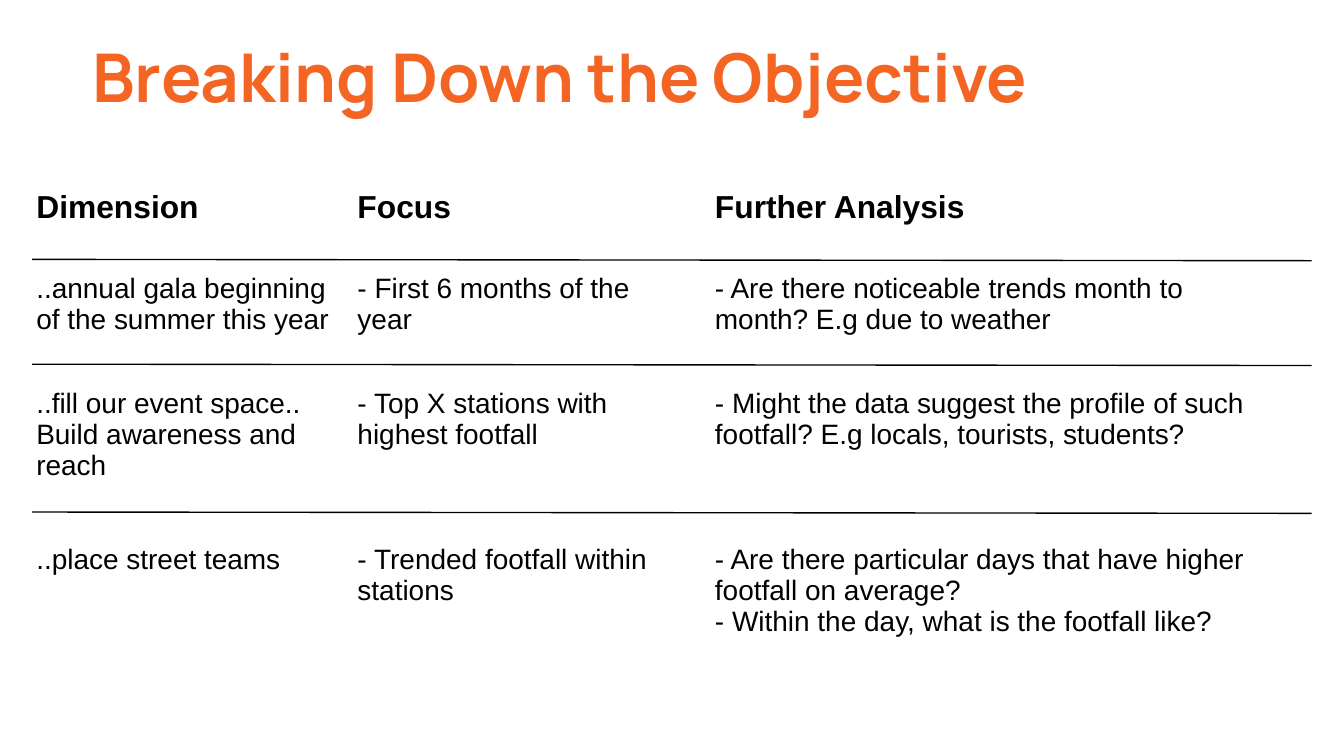
from dataclasses import dataclass

from lxml.etree import SubElement
from pptx import Presentation
from pptx.dml.color import RGBColor
from pptx.enum.text import MSO_ANCHOR
from pptx.oxml.ns import qn
from pptx.util import Inches, Pt

COLOURS = {"title": "F46524", "text": "000000", "border": "FFFFFF"}
BORDER_TAGS = ("a:lnL", "a:lnR", "a:lnT", "a:lnB")
SIDES = ("left", "right", "top", "bottom")
COLUMN_WIDTHS = (2.39, 2.66, 4.36)
RULE_HEIGHTS = (1.93, 2.71, 3.81)


@dataclass(frozen=True)
class AnalysisRow:
    """One table row with its height and font format."""
    dimension: str
    focus: str
    analysis: str
    height: float
    size: int = 15
    bold: bool = False


ROWS = (
    AnalysisRow("Dimension", "Focus", "Further Analysis", 0.62, 17, True),
    AnalysisRow("..annual gala beginning of the summer this year",
                "- First 6 months of the year",
                "- Are there noticeable trends month to month? E.g due to weather", 0.86),
    AnalysisRow("..fill our event space.. Build awareness and reach",
                "- Top X stations with highest footfall",
                "- Might the data suggest the profile of such footfall? "
                "E.g locals, tourists, students?", 1.16),
    AnalysisRow("..place street teams",
                "- Trended footfall within stations",
                "- Are there particular days that have higher footfall on average?\n"
                "- Within the day, what is the footfall like?", 1.16),
)


def write_text(frame, text: str, font: str, size: int, bold: bool, colour: str) -> None:
    """Fill a text frame and format each of its runs."""
    frame.text = text
    for paragraph in frame.paragraphs:
        for run in paragraph.runs:
            for name, value in {"name": font, "size": Pt(size), "bold": bold}.items():
                setattr(run.font, name, value)
            run.font.color.rgb = RGBColor.from_string(COLOURS[colour])


def set_margins(holder) -> None:
    """Give a text frame or a cell equal margins."""
    for side in SIDES:
        setattr(holder, f"margin_{side}", Inches(0.1))


def add_borders(cell) -> None:
    """Give a cell thin borders on its four sides."""
    properties = cell._tc.get_or_add_tcPr()
    for position, tag in enumerate(BORDER_TAGS):
        border = properties.makeelement(qn(tag), {"w": str(Pt(0.75))})
        fill = SubElement(border, qn("a:solidFill"))
        SubElement(fill, qn("a:srgbClr"), val=COLOURS["border"])
        properties.insert(position, border)


def add_title(slide) -> None:
    """Add the slide heading."""
    heading = slide.shapes.add_textbox(
        Inches(0.59), Inches(0.2), Inches(9.15), Inches(0.84)).text_frame
    write_text(heading, "Breaking Down the Objective", "Manrope", 36, True, "title")
    set_margins(heading)
    layout = {"word_wrap": True, "margin_top": Inches(0.06),
              "vertical_anchor": MSO_ANCHOR.TOP}
    for name, value in layout.items():
        setattr(heading, name, value)
    heading.paragraphs[0].space_after = Pt(16)


def add_objectives(slide) -> None:
    """Add the table of dimensions, focus and analysis."""
    objectives = slide.shapes.add_table(
        len(ROWS), len(COLUMN_WIDTHS), Inches(0.17), Inches(1.31),
        Inches(sum(COLUMN_WIDTHS)), Inches(sum(row.height for row in ROWS))).table
    for name in ("first_row", "horz_banding"):
        setattr(objectives, name, False)
    for column, width in zip(objectives.columns, COLUMN_WIDTHS):
        column.width = Inches(width)
    for line, row in zip(objectives.rows, ROWS):
        line.height = Inches(row.height)
        for cell, text in zip(line.cells, (row.dimension, row.focus, row.analysis)):
            write_text(cell.text_frame, text, "Arial", row.size, row.bold, "text")
            set_margins(cell)
            cell.fill.background()
            add_borders(cell)


def add_rule(slide, top: float) -> None:
    """Draw the line between two table rows."""
    rule = slide.shapes.add_connector(
        1, Inches(0.24), Inches(top), Inches(9.76), Inches(top + 0.01))
    rule.line.color.rgb = RGBColor.from_string(COLOURS["text"])
    rule.line.width = Pt(0.75)
    SubElement(rule._element.spPr, qn("a:effectLst"))


def main() -> None:
    """Build and save the slide."""
    deck = Presentation()
    deck.slide_width, deck.slide_height = Inches(10), Inches(10 * 9 / 16)
    slide = deck.slides.add_slide(deck.slide_layouts[6])
    add_title(slide)
    add_objectives(slide)
    for top in RULE_HEIGHTS:
        add_rule(slide, top)
    deck.save("out.pptx")


if __name__ == "__main__":
    main()
